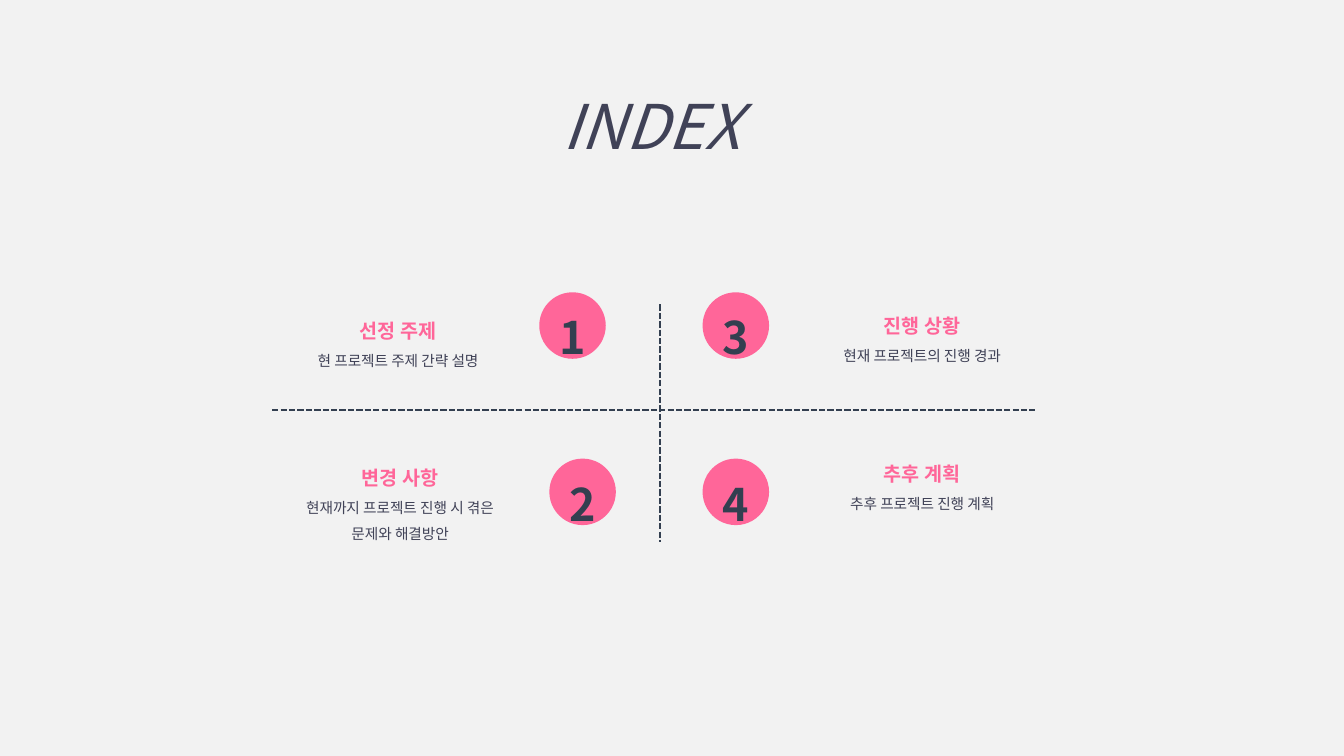
from dataclasses import dataclass

from lxml import etree
from pptx import Presentation, util as u
from pptx.dml.color import RGBColor
from pptx.enum import dml, shapes, text
from pptx.oxml.ns import qn

PX = 9144  # 100 px to the inch


@dataclass(frozen=True)
class Theme:
    font: str = "Noto Sans CJK KR"
    back: str = "F2F2F2"
    pink: str = "FF6699"
    ink: str = "404257"
    navy: str = "333F50"
    title: float = 44
    num: float = 32
    head: float = 14
    body: float = 10.5
    rule: float = 1.5


T = Theme()


def px(*vals):
    return [u.Emu(v * PX) for v in vals]


def rgb(code):
    return RGBColor.from_string(code)


def add_text(slide, box, rows):
    """Centred text; each row is (words, size, colour, bold, italic)."""
    frame = slide.shapes.add_textbox(*px(*box)).text_frame
    frame.word_wrap = True
    frame.auto_size = text.MSO_AUTO_SIZE.SHAPE_TO_FIT_TEXT
    frame.text = "\n".join(row[0] for row in rows)
    for para, (_, size, color, bold, slant) in zip(frame.paragraphs, rows):
        para.alignment = text.PP_ALIGN.CENTER
        para.line_spacing = 1.5
        font = para.runs[0].font
        font.name, font.size = T.font, u.Pt(size)
        font.bold, font.italic = bold, slant
        font.color.rgb = rgb(color)
        # Hangul takes the East Asian typeface
        latin = para.runs[0].font._element.find(qn("a:latin"))
        east = etree.Element(qn("a:ea"), typeface=T.font)
        latin.addnext(east)


def add_rule(slide, *ends):
    line = slide.shapes.add_connector(shapes.MSO_CONNECTOR.STRAIGHT, *px(*ends))
    line.line.color.rgb = rgb(T.navy)
    line.line.width = u.Pt(T.rule)
    line.line.dash_style = dml.MSO_LINE.SQUARE_DOT
    etree.SubElement(line._element.spPr, qn("a:effectLst"))


def add_cross(slide, box):
    """Dashed lines that split the box into four."""
    left, top, wide, high = box
    mid_x, mid_y = left + 385, top + 105
    add_rule(slide, left, mid_y, left + wide, mid_y)
    add_rule(slide, mid_x, top, mid_x, top + high)


def add_badge(slide, box, num):
    """Pink disc with its number in a wider box that hangs over it."""
    left, top, wide, high = box
    disc = slide.shapes.add_shape(shapes.MSO_SHAPE.OVAL, *px(*box))
    disc.shadow.inherit = False
    disc.fill.solid()
    disc.fill.fore_color.rgb = rgb(T.pink)
    disc.line.fill.background()
    add_text(slide, (left - 14, top - 14, wide + 28, high + 14),
             [(str(num), T.num, T.navy, True, False)])


def add_topic(slide, box, head, body):
    add_text(slide, box, [(head, T.head, T.pink, True, False),
                          (body, T.body, T.ink, False, False)])


# Topic box, badge corner, heading, description
TOPICS = [
    ((275, 300, 240, 69), (535, 290), "선정 주제", "현 프로젝트 주제 간략 설명"),
    ((277, 446, 240, 98), (545, 455), "변경 사항",
     "현재까지 프로젝트 진행 시 겪은 문제와 해결방안"),
    ((795, 295, 240, 69), (697, 290), "진행 상황", "현재 프로젝트의 진행 경과"),
    ((795, 442, 240, 72), (697, 455), "추후 계획", "추후 프로젝트 진행 계획"),
]


def index_slide(deck):
    slide = deck.slides.add_slide(deck.slide_layouts[6])
    slide.background.fill.solid()
    slide.background.fill.fore_color.rgb = rgb(T.back)
    # Title
    add_text(slide, (346, 46, 600, 110),
             [("INDEX", T.title, T.ink, False, True)])
    # Four numbered topics
    for num, (box, spot, head, body) in enumerate(TOPICS, 1):
        add_topic(slide, box, head, body)
        add_badge(slide, (*spot, 66, 66), num)
    # Dividers
    add_cross(slide, (270, 302, 757, 236))


def main():
    deck = Presentation()
    deck.slide_width, deck.slide_height = u.Inches(13.333), u.Inches(7.5)
    index_slide(deck)
    deck.save("out.pptx")


if __name__ == "__main__":
    main()
